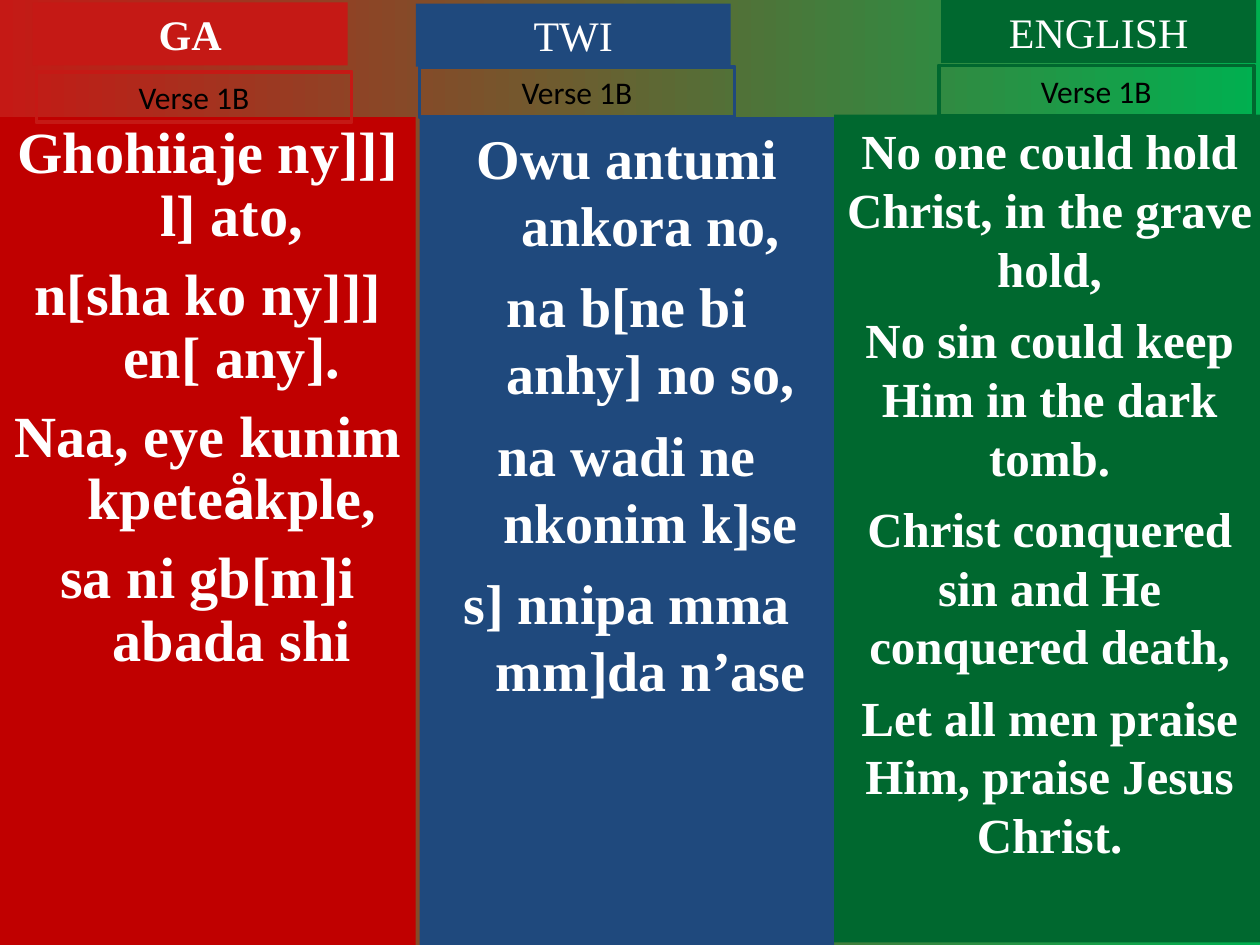
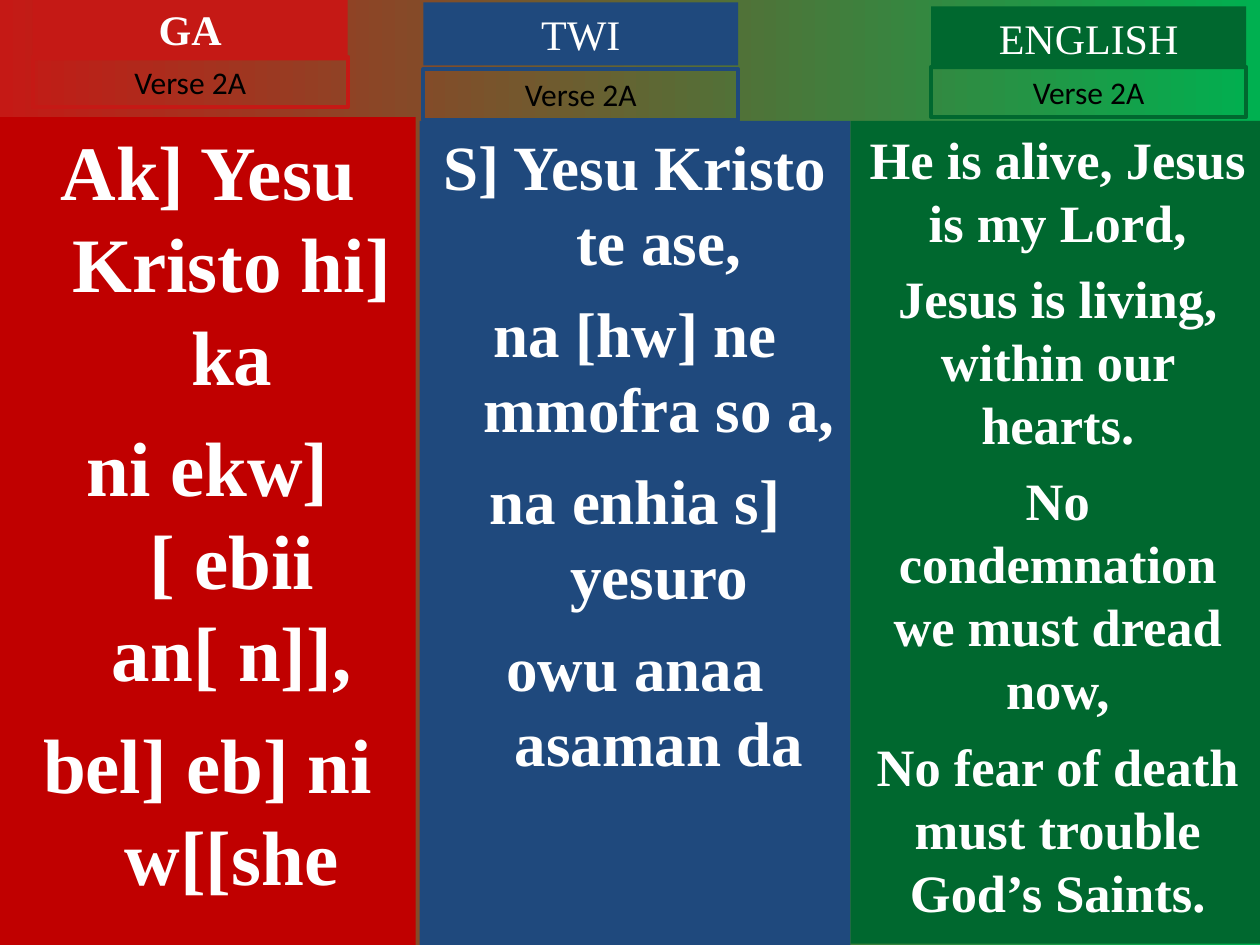
import itertools

import pptx
import pptx.util
import pptx.dml.color
import pptx.enum.shapes
import pptx.enum.text

Inches, Pt = pptx.util.Inches, pptx.util.Pt

COLORS = {
    "bg_start": "C51915", "bg_end": "00B050", "white": "FFFFFF", "black": "000000",
    "ga": "C51915", "ga_column": "C00000", "twi": "1F497D", "english": "00682F",
}
SERIF, SANS, SPECIAL = "Times New Roman", "Calibri", "Roboto"
HEADER_SIZE, TAG_SIZE = (2.5, 0.5), (2.5, 0.4)
HANGING = 0.38

LANGUAGES = {
    "GA": {"accent": "ga", "column": "ga_column", "bold": True, "hanging": HANGING},
    "TWI": {"accent": "twi", "column": "twi", "bold": False, "hanging": HANGING},
    "ENGLISH": {"accent": "english", "column": "english", "bold": False, "hanging": 0},
}

VERSES = [
    ("Verse 1B", {
        "GA": {
            "box": (0, 0.93, 3.3, 6.57), "header": (0.26, 0.02), "tag": (0.29, 0.57),
            "size": 33.3, "gap": 9, "leading": 0.9,
            "lines": ["Ghohiiaje ny]]] l] ato,", "n[sha ko ny]]] en[ any].",
                      "Naa, eye kunim kpeteåkple,", "sa ni gb[m]i abada shi"],
        },
        "TWI": {
            "box": (3.33, 0.93, 3.29, 6.57), "header": (3.3, 0.03), "tag": (3.33, 0.53),
            "size": 32, "gap": 8,
            "lines": ["Owu antumi ankora no,", "na b[ne bi anhy] no so,",
                      "na wadi ne nkonim k]se", "s] nnipa mma mm]da n’ase"],
        },
        "ENGLISH": {
            "box": (6.62, 0.91, 3.42, 6.57), "header": (7.47, 0), "tag": (7.45, 0.52),
            "size": 28, "gap": 7,
            "lines": ["No one could hold Christ, in the grave hold,",
                      "No sin could keep Him in the dark tomb.",
                      "Christ conquered sin and He conquered death,",
                      "Let all men praise Him, praise Jesus Christ."],
        },
    }),
    ("Verse 2A", {
        "GA": {
            "box": (0, 0.93, 3.3, 6.57), "header": (0.26, -0.02), "tag": (0.26, 0.45),
            "size": 44, "gap": 11,
            "lines": ["Ak] Yesu Kristo hi] ka", "ni ekw][ ebii an[ n]],",
                      "bel] eb] ni w[[she"],
        },
        "TWI": {
            "box": (3.33, 0.96, 3.42, 6.54), "header": (3.36, 0.02), "tag": (3.36, 0.55),
            "size": 36, "gap": 9,
            "lines": ["S] Yesu Kristo te ase,", "na [hw] ne mmofra so a,",
                      "na enhia s] yesuro", "owu anaa asaman da"],
        },
        "ENGLISH": {
            "box": (6.75, 0.96, 3.29, 6.53), "header": (7.39, 0.05), "tag": (7.39, 0.53),
            "size": 30, "gap": 7.5,
            "lines": ["He is alive, Jesus is my Lord,",
                      "Jesus is living, within our hearts.",
                      "No condemnation we must dread now,",
                      "No fear of death must trouble God’s Saints."],
        },
    }),
]


def rgb(name):
    """Return the named colour."""
    return pptx.dml.color.RGBColor.from_string(COLORS[name])


def add_box(s, box, fill=None, line=None):
    """Add a rectangle with top-anchored, wrapping text."""
    sp = s.shapes.add_shape(pptx.enum.shapes.MSO_SHAPE.RECTANGLE, *map(Inches, box))
    sp.shadow.inherit = False
    if fill:
        sp.fill.solid()
        sp.fill.fore_color.rgb = rgb(fill)
    else:
        sp.fill.background()
    if line:
        sp.line.color.rgb = rgb(line)
        sp.line.width = Pt(2.25)
    else:
        sp.line.fill.background()
    tf = sp.text_frame
    tf.word_wrap = True
    tf.vertical_anchor = pptx.enum.text.MSO_ANCHOR.TOP
    return tf


def add_run(p, text, size, color, font=SERIF, bold=False):
    """Add one formatted run to a centred paragraph."""
    p.alignment = pptx.enum.text.PP_ALIGN.CENTER
    r = p.add_run()
    r.text = text
    r.font.name, r.font.size, r.font.bold = font, Pt(size), bold
    r.font.color.rgb = rgb(color)


def add_lyrics(s, verse, language):
    """Add a column of verse lines."""
    tf = add_box(s, verse["box"], fill=language["column"])
    for i, text in enumerate(verse["lines"]):
        p = tf.add_paragraph() if i else tf.paragraphs[0]
        if language["hanging"]:
            indent = Inches(language["hanging"])
            p._p.get_or_add_pPr().set("marL", str(indent))
            p._p.get_or_add_pPr().set("indent", str(-indent))
        p.line_spacing = verse.get("leading")
        if i:
            p.space_before = Pt(verse["gap"])
        for special, chars in itertools.groupby(text, lambda char: char == "å"):
            add_run(p, "".join(chars), verse["size"], "white",
                    SPECIAL if special else SERIF, bold=True)


def add_heading(s, verse, language, name, label):
    """Add the language header and the verse tag under it."""
    tf = add_box(s, verse["header"] + HEADER_SIZE, fill=language["accent"])
    add_run(tf.paragraphs[0], name, 24, "white", bold=language["bold"])
    tf = add_box(s, verse["tag"] + TAG_SIZE, line=language["accent"])
    add_run(tf.paragraphs[0], label, 18, "black", SANS)


def add_verse_slide(prs, label, verses):
    """Add a slide with one verse in three languages."""
    s = prs.slides.add_slide(prs.slide_layouts[6])
    fill = s.background.fill
    fill.gradient()
    fill.gradient_angle = 0
    for stop, name in zip(fill.gradient_stops, ("bg_start", "bg_end")):
        stop.color.rgb = rgb(name)
    for name, verse in verses.items():
        add_lyrics(s, verse, LANGUAGES[name])
        add_heading(s, verse, LANGUAGES[name], name, label)


def main():
    """Build and save the presentation."""
    prs = pptx.Presentation()
    prs.slide_width, prs.slide_height = Inches(10), Inches(7.5)
    for label, verses in VERSES:
        add_verse_slide(prs, label, verses)
    prs.save("out.pptx")


if __name__ == "__main__":
    main()
